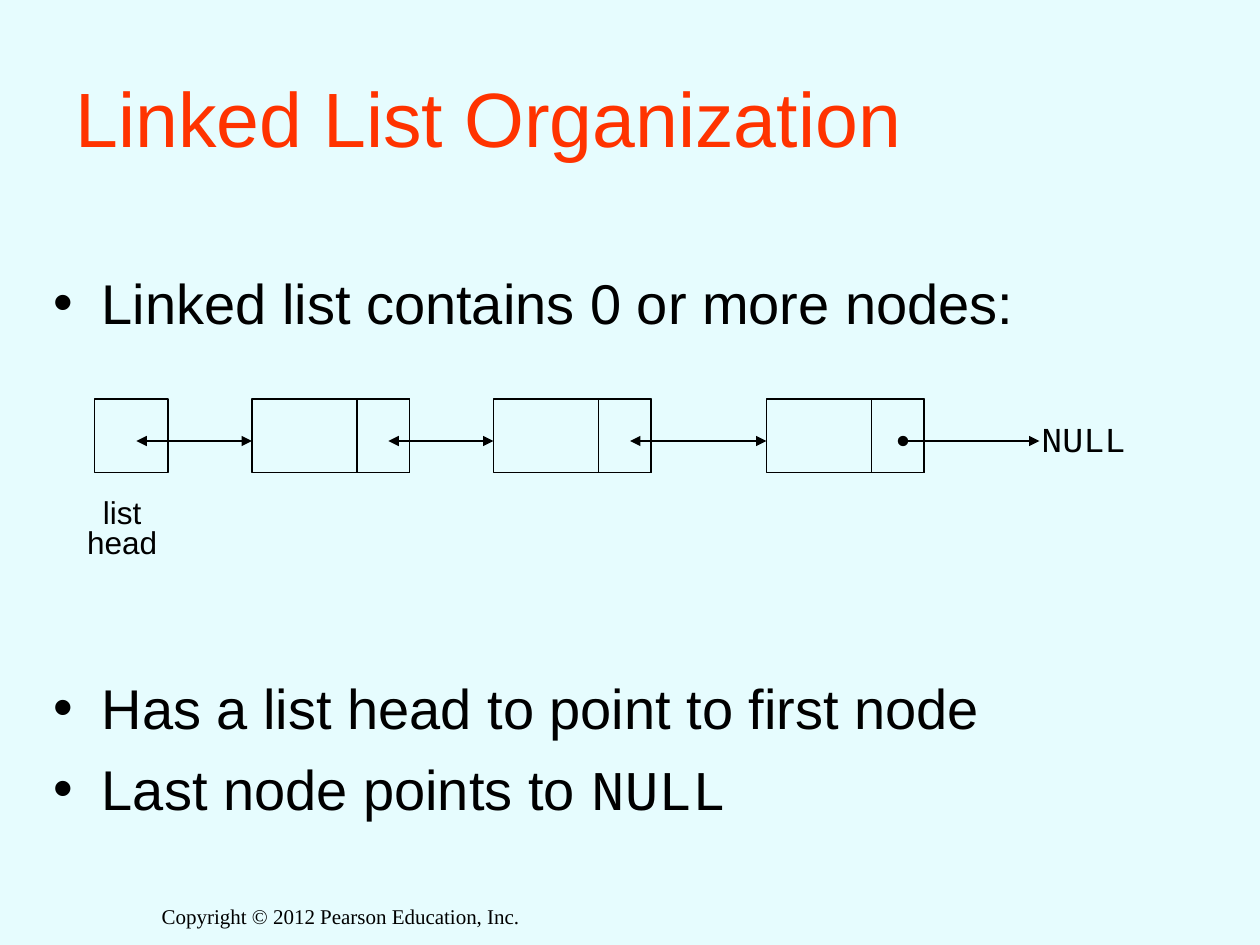
"""Builds the slide that explains how a linked list is organized."""
from lxml.etree import SubElement
from pptx import Presentation
from pptx.dml.color import RGBColor
from pptx.enum.shapes import MSO_CONNECTOR, MSO_SHAPE
from pptx.enum.text import MSO_ANCHOR, PP_ALIGN
from pptx.oxml.ns import qn
from pptx.util import Inches, Pt

BLACK = RGBColor(0x00, 0x00, 0x00)
RED = RGBColor(0xFF, 0x33, 0x00)
PALE_BLUE = RGBColor(0xE6, 0xFC, 0xFE)
SANS, MONO, SERIF = "Arial", "Courier New", "Times New Roman"

TITLE = "Linked List Organization"
BULLETS = [
    (0, [("Linked list contains 0 or more nodes:", SANS)]),
    (193, [("Has a list head to point to first node", SANS)]),
    (8, [("Last node points to ", SANS), ("NULL", MONO)]),
]
FOOTER = "Copyright © 2012 Pearson Education, Inc."

UNIT = Inches(1) // 12
ROW_TOP, ROW_HEIGHT, ARROW_ROW = 38, 7, 42
HEAD_LEFT, HEAD_WIDTH, HEAD_ARROW = 9, 7, 4
NODE_LEFTS = [24, 47, 73]
NODE_WIDTH, LINK_OFFSET, LINK_WIDTH, LINK_ARROW = 15, 10, 5, 13
NULL_LEFT = 99


def add_text(slide, area, paragraphs, size, color=BLACK, align=PP_ALIGN.LEFT,
             anchor=MSO_ANCHOR.TOP, wrap=True, spacing=None):
    """Adds a text box; each paragraph is (space before, [(text, font)])."""
    frame = slide.shapes.add_textbox(*map(Inches, area)).text_frame
    frame.word_wrap = wrap
    frame.vertical_anchor = anchor
    for index, (space_before, runs) in enumerate(paragraphs):
        paragraph = frame.paragraphs[0] if index == 0 else frame.add_paragraph()
        paragraph.alignment = align
        paragraph.line_spacing = spacing
        paragraph.space_before = Pt(space_before)
        for text, font_name in runs:
            run = paragraph.add_run()
            run.text = text
            run.font.name = font_name
            run.font.size = Pt(size)
            run.font.color.rgb = color
    return frame


def add_bullets(frame):
    """Gives every paragraph of the frame a hanging bullet."""
    for paragraph in frame.paragraphs:
        properties = paragraph._p.get_or_add_pPr()
        properties.set("marL", str(Inches(0.38)))
        properties.set("indent", str(-Inches(0.38)))
        SubElement(properties, qn("a:buFont"), typeface=SANS)
        SubElement(properties, qn("a:buChar"), char="•")


def add_box(slide, left, width):
    """Adds an outlined rectangle in the diagram row."""
    shape = slide.shapes.add_shape(
        MSO_SHAPE.RECTANGLE, left * UNIT, ROW_TOP * UNIT, width * UNIT, ROW_HEIGHT * UNIT)
    shape.shadow.inherit = False
    shape.fill.background()
    shape.line.color.rgb = BLACK
    shape.line.width = Pt(0.75)


def add_arrow(slide, start, end, head):
    """Adds a horizontal pointer with the given mark at its start."""
    connector = slide.shapes.add_connector(
        MSO_CONNECTOR.STRAIGHT, start * UNIT, ARROW_ROW * UNIT, end * UNIT, ARROW_ROW * UNIT)
    connector.line.color.rgb = BLACK
    connector.line.width = Pt(0.75)
    line = connector.line._get_or_add_ln()
    SubElement(line, qn("a:headEnd"), type=head)
    SubElement(line, qn("a:tailEnd"), type="triangle")
    SubElement(connector._element.spPr, qn("a:effectLst"))


def add_diagram(slide):
    """Draws the list head, the nodes and the pointers between them."""
    add_box(slide, HEAD_LEFT, HEAD_WIDTH)
    for left in NODE_LEFTS:
        add_box(slide, left, NODE_WIDTH)
        add_box(slide, left + LINK_OFFSET, LINK_WIDTH)
    starts = [HEAD_LEFT + HEAD_ARROW] + [left + LINK_ARROW for left in NODE_LEFTS]
    for start, end in zip(starts, NODE_LEFTS + [NULL_LEFT]):
        add_arrow(slide, start, end, "oval" if end == NULL_LEFT else "triangle")
    add_text(slide, (8.1, 3.2, 1, 0.5), [(0, [("NULL", MONO)])], 20,
             align=PP_ALIGN.CENTER, wrap=False, spacing=1.2)
    add_text(slide, (0.52, 3.92, 0.9, 0.58), [(0, [(word, SANS)]) for word in ("list", "head")],
             18, align=PP_ALIGN.CENTER, wrap=False, spacing=0.8)


def main():
    """Builds and saves the presentation."""
    presentation = Presentation()
    presentation.slide_width, presentation.slide_height = Inches(10), Inches(7.5)
    slide = presentation.slides.add_slide(presentation.slide_layouts[6])
    slide.background.fill.solid()
    slide.background.fill.fore_color.rgb = PALE_BLUE
    add_text(slide, (1.08, 7.12, 3.25, 0.3), [(0, [(FOOTER, SERIF)])], 12,
             align=PP_ALIGN.CENTER)
    add_text(slide, (0.5, 0.3, 9, 1.25), [(0, [(TITLE, SANS)])], 44, RED,
             anchor=MSO_ANCHOR.MIDDLE)
    body = add_text(slide, (0.33, 2.08, 9.07, 5), BULLETS, 32)
    add_bullets(body)
    add_diagram(slide)
    presentation.save("out.pptx")


if __name__ == "__main__":
    main()
